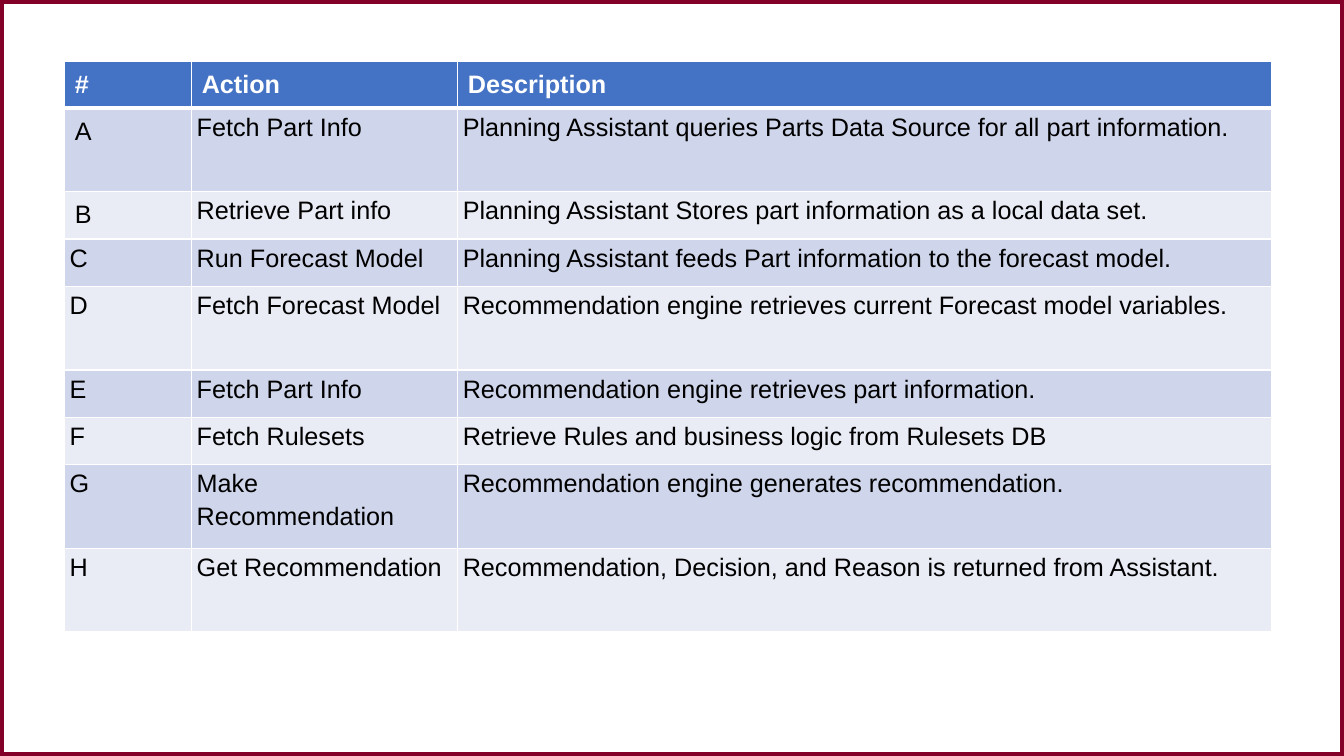
from lxml.etree import SubElement
from pptx import Presentation
from pptx.dml.color import RGBColor
from pptx.enum.shapes import MSO_SHAPE as Shape
from pptx.oxml.ns import qn
from pptx.util import Pt

BLACK, WHITE = "000000", "FFFFFF"
HEADER_BLUE, BAND_DARK, BAND_LIGHT = "4472C4", "CFD5EA", "E9EBF5"
FRAME_RED = "830028"
WIDE_INSETS = (7.2, 3.6, 7.2, 3.6)
TIGHT_INSETS = (3.6, 0.72, 3.6, 7.2)
SHORT, TALL = 33.84, 59.76


def write_cell(cell, text, *, fill, color=BLACK, bold=False, insets=TIGHT_INSETS, top=1, bottom=1):
    """Fill a cell with text; insets run left, top, right, bottom, and top and bottom are border widths."""
    cell.margin_left, cell.margin_top, cell.margin_right, cell.margin_bottom = map(Pt, insets)
    properties = cell._tc.get_or_add_tcPr()
    for tag, width in (("a:lnL", 1), ("a:lnR", 1), ("a:lnT", top), ("a:lnB", bottom)):
        border = SubElement(properties, qn(tag), w=str(Pt(width)))
        SubElement(SubElement(border, qn("a:solidFill")), qn("a:srgbClr"), val=WHITE)
    cell.fill.solid()
    cell.fill.fore_color.rgb = RGBColor.from_string(fill)
    # The schema wants the fill after the borders
    properties.append(properties.find(qn("a:solidFill")))
    paragraph = cell.text_frame.paragraphs[0]
    paragraph.line_spacing = 1.15
    run = paragraph.add_run()
    run.text = text
    run.font.name, run.font.size, run.font.bold = "Arial", Pt(18), bold
    run.font.color.rgb = RGBColor.from_string(color)


prs = Presentation()
prs.slide_width, prs.slide_height = Pt(960), Pt(540)
slide = prs.slides.add_slide(prs.slide_layouts[6])

frame = slide.shapes.add_shape(Shape.RECTANGLE, 0, 0, prs.slide_width, prs.slide_height)
frame.shadow.inherit = False
frame.fill.background()
frame.line.color.rgb = RGBColor.from_string(FRAME_RED)
frame.line.width = Pt(6)

headings = ("#", "Action", "Description")
column_widths = (90.72, 190.08, 581.04)
header_height = 33.12
steps = [
    ("A", "Fetch Part Info", "Planning Assistant queries Parts Data Source for all part information.", TALL),
    ("B", "Retrieve Part info", "Planning Assistant Stores part information as a local data set.", SHORT),
    ("C", "Run Forecast Model", "Planning Assistant feeds Part information to the forecast model.", SHORT),
    ("D", "Fetch Forecast Model", "Recommendation engine retrieves current Forecast model variables.", TALL),
    ("E", "Fetch Part Info", "Recommendation engine retrieves part information.", SHORT),
    ("F", "Fetch Rulesets", "Retrieve Rules and business logic from Rulesets DB", SHORT),
    ("G", "Make Recommendation", "Recommendation engine generates recommendation.", TALL),
    ("H", "Get Recommendation", "Recommendation, Decision, and Reason is returned from Assistant.", TALL),
]

table_height = header_height + sum(step[-1] for step in steps)
actions = slide.shapes.add_table(
    len(steps) + 1, len(headings), Pt(46.2), Pt(44), Pt(sum(column_widths)), Pt(table_height)
).table

actions.rows[0].height = Pt(header_height)
for column, (heading, width) in enumerate(zip(headings, column_widths)):
    actions.columns[column].width = Pt(width)
    write_cell(actions.cell(0, column), heading, fill=HEADER_BLUE, color=WHITE, bold=True,
               insets=WIDE_INSETS, bottom=3)

for row, (*texts, height) in enumerate(steps, start=1):
    actions.rows[row].height = Pt(height)
    for column, text in enumerate(texts):
        wide = column == 0 and text in ("A", "B")
        write_cell(actions.cell(row, column), text,
                   fill=BAND_DARK if row % 2 else BAND_LIGHT,
                   insets=WIDE_INSETS if wide else TIGHT_INSETS,
                   top=3 if row == 1 else 1)

prs.save("out.pptx")
